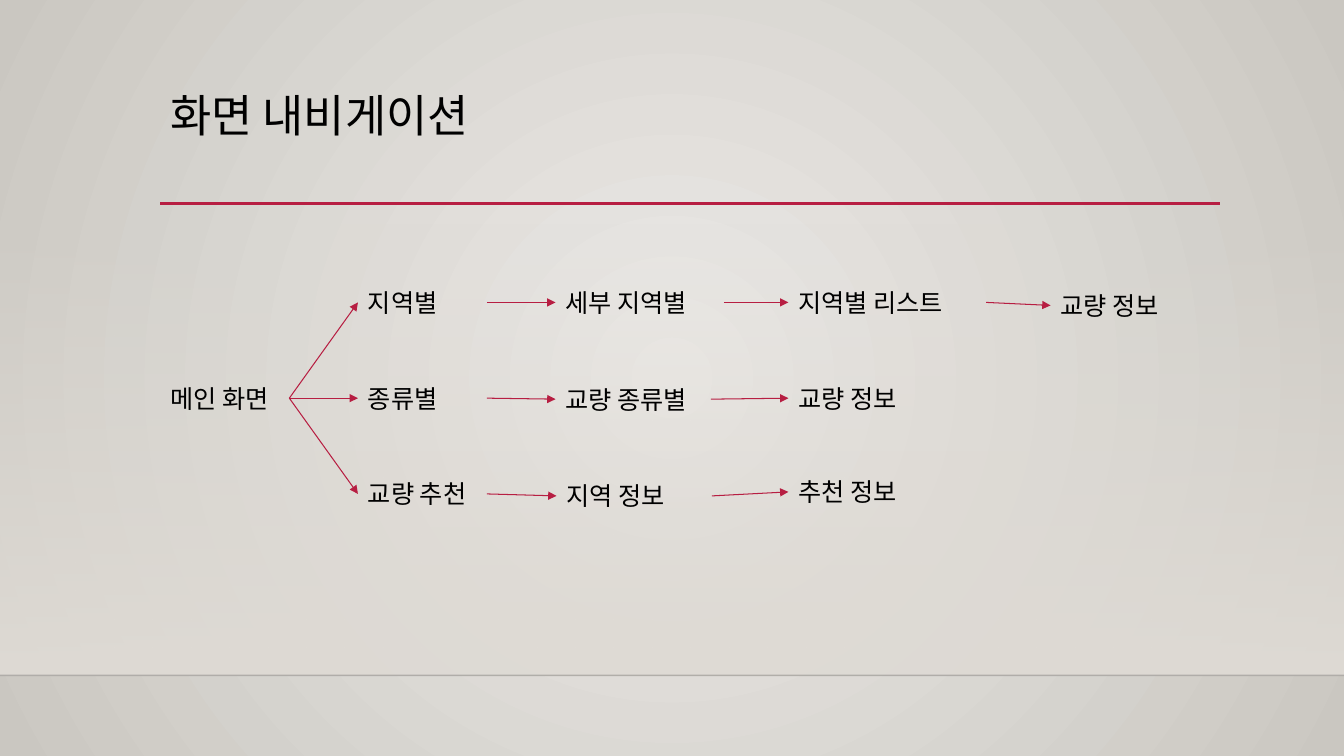
"""Builds a slide that maps the screen navigation of a bridge app."""
from lxml import etree
from pptx import Presentation
from pptx.dml.color import RGBColor
from pptx.enum.shapes import MSO_CONNECTOR, MSO_SHAPE
from pptx.enum.text import MSO_ANCHOR
from pptx.oxml import parse_xml
from pptx.oxml.ns import nsdecls, qn
from pptx.util import Inches, Pt

STRAIGHT = MSO_CONNECTOR.STRAIGHT
RECTANGLE = MSO_SHAPE.RECTANGLE
TOP = MSO_ANCHOR.TOP

COLORS = {"center": "ECEAE7", "edge": "CAC7C1", "wall": "DFDBD5",
          "floor": "000001", "accent": "B71E42", "text": "000000"}
FONT = "Cabin"
WIDTH, HEIGHT = 13.33, 7.5
FLOOR_TOP = 6.7
LABEL_HEIGHT = 0.4

TITLE = "화면 내비게이션"
MAIN_SCREEN = ("메인 화면", 1.59, 3.75, 1.28)
BRANCHES = [
    [("지역별", 3.55, 2.8, 1.28), ("세부 지역별", 5.51, 2.8, 1.67),
     ("지역별 리스트", 7.82, 2.8, 1.96), ("교량 정보", 10.42, 2.83, 1.67)],
    [("종류별", 3.55, 3.75, 1.28), ("교량 종류별", 5.51, 3.76, 1.54),
     ("교량 정보", 7.82, 3.75, 1.67)],
    [("교량 추천", 3.55, 4.7, 1.28), ("지역 정보", 5.52, 4.72, 1.54),
     ("추천 정보", 7.82, 4.68, 1.54)],
]


def gradient(start, end, direction, start_alpha=100):
    return parse_xml(
        f'<a:gradFill {nsdecls("a")} rotWithShape="1"><a:gsLst>'
        f'<a:gs pos="0"><a:srgbClr val="{start}"><a:alpha val="{start_alpha * 1000}"/></a:srgbClr></a:gs>'
        f'<a:gs pos="100000"><a:srgbClr val="{end}"/></a:gs>'
        f'</a:gsLst>{direction}</a:gradFill>')


def replace_gradient(parent, new_fill):
    parent.replace(parent.find(qn("a:gradFill")), new_fill)


def add_line(page, start, end, color, weight):
    line = page.shapes.add_connector(STRAIGHT, *(Inches(value) for value in (*start, *end)))
    line.line.color.rgb = RGBColor.from_string(COLORS[color])
    line.line.width = Pt(weight)
    etree.SubElement(line._element.spPr, qn("a:effectLst"))
    return line


def add_text(page, text, left, top, width, height, size):
    box = page.shapes.add_textbox(Inches(left), Inches(top), Inches(width), Inches(height))
    frame = box.text_frame
    frame.word_wrap = True
    frame.vertical_anchor = TOP
    frame.text = text
    font = frame.paragraphs[0].runs[0].font
    font.name = FONT
    font.size = Pt(size)
    font.color.rgb = RGBColor.from_string(COLORS["text"])
    return frame


def add_screen(page, screen):
    text, left, top, width = screen
    add_text(page, text, left, top, width, LABEL_HEIGHT, 18)


def add_arrow(page, source, target):
    start = (source[1] + source[3], source[2] + LABEL_HEIGHT / 2)
    end = (target[1], target[2] + LABEL_HEIGHT / 2)
    arrow = add_line(page, start, end, "accent", 0.75)
    etree.SubElement(arrow.line._get_or_add_ln(), qn("a:tailEnd"), type="triangle")


def add_backdrop(page):
    page.background.fill.gradient()
    radial = ('<a:path path="circle"><a:fillToRect l="50000" t="50000" '
              'r="50000" b="50000"/></a:path>')
    replace_gradient(page.background._cSld.bg.bgPr,
                     gradient(COLORS["center"], COLORS["edge"], radial))

    wall = page.shapes.add_shape(RECTANGLE, 0, Inches(2.21), Inches(WIDTH), Inches(FLOOR_TOP - 2.21))
    wall.shadow.inherit = False
    wall.line.fill.background()
    wall.fill.gradient()
    replace_gradient(wall._element.spPr,
                     gradient(COLORS["wall"], COLORS["wall"], '<a:lin ang="5400000" scaled="0"/>', 0))

    floor = add_line(page, (0, FLOOR_TOP), (WIDTH, FLOOR_TOP), "floor", 1)
    color = floor.line._get_or_add_ln().find(".//" + qn("a:srgbClr"))
    etree.SubElement(color, qn("a:alpha"), val="20000")


deck = Presentation()
deck.slide_width, deck.slide_height = Inches(WIDTH), Inches(HEIGHT)
page = deck.slides.add_slide(deck.slide_layouts[6])

add_backdrop(page)
add_line(page, (1.59, 2.02), (12.1, 2.02), "accent", 2.5)
title = add_text(page, TITLE, 1.59, 0.88, 10.5, 1.15, 32)
title.paragraphs[0].line_spacing = 0.9

add_screen(page, MAIN_SCREEN)
for branch in BRANCHES:
    for source, target in zip([MAIN_SCREEN, *branch], branch):
        add_screen(page, target)
        add_arrow(page, source, target)

deck.save("out.pptx")
